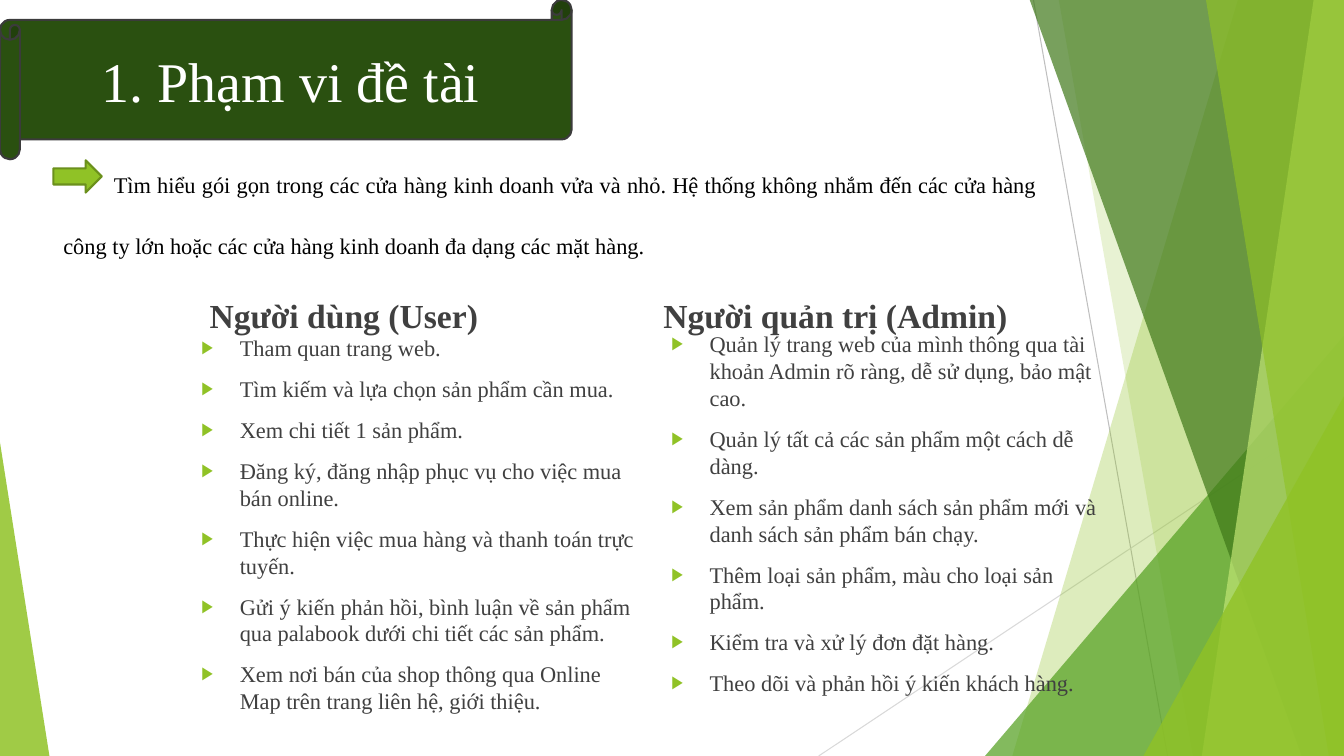
from lxml.etree import SubElement
from pptx import Presentation
from pptx.dml.color import RGBColor
from pptx.enum.shapes import MSO_CONNECTOR, MSO_SHAPE
from pptx.enum.text import MSO_ANCHOR as Anchor, PP_ALIGN as Align
from pptx.oxml.ns import qn
from pptx.util import Pt

PX = 9144
FONT = "Times New Roman"
COLORS = {
    "lime": "90C226", "lime_edge": "6B901C", "pale": "C0E474",
    "green": "54A021", "dark": "3F7819", "scroll": "2A5010",
    "scroll_edge": "3B3B3B", "gray": "BFBFBF", "light_gray": "D9D9D9",
    "body": "404040", "black": "000000", "white": "FFFFFF",
}


def paint(shape, fill, opacity=100, edge=None):
    shape.shadow.inherit = False
    shape.fill.solid()
    shape.fill.fore_color.rgb = RGBColor.from_string(COLORS[fill])
    if opacity < 100:
        color = shape.fill._xPr.find(qn("a:solidFill"))[0]
        SubElement(color, qn("a:alpha"), val=str(opacity * 1000))
    if edge:
        shape.line.color.rgb = RGBColor.from_string(COLORS[edge])
        shape.line.width = Pt(1.5)
    else:
        shape.line.fill.background()


def write(shape, texts, size=16, color="body", bold=False, align=Align.LEFT,
          anchor=Anchor.TOP, before=0, spacing=None, first_indent=0, bullet=None):
    frame = shape.text_frame
    frame.word_wrap = True
    frame.vertical_anchor = anchor
    for index, text in enumerate(texts):
        paragraph = frame.add_paragraph() if index else frame.paragraphs[0]
        paragraph.alignment = align
        paragraph.space_before = Pt(before)
        if spacing:
            paragraph.line_spacing = Pt(spacing)
        run = paragraph.add_run()
        run.text = text
        run.font.name = FONT
        run.font.size = Pt(size)
        run.font.bold = bold
        run.font.color.rgb = RGBColor.from_string(COLORS[color])
        properties = paragraph._p.get_or_add_pPr()
        properties.set("indent", str(first_indent * PX))
        if bullet:
            properties.set("marL", str(-first_indent * PX))
            bullet_color = SubElement(properties, qn("a:buClr"))
            SubElement(bullet_color, qn("a:srgbClr"), val=COLORS["lime"])
            SubElement(properties, qn("a:buSzPct"), val="80000")
            SubElement(properties, qn("a:buFont"), typeface=FONT)
            SubElement(properties, qn("a:buChar"), char=bullet)


presentation = Presentation()
presentation.slide_width = 1333 * PX
presentation.slide_height = 750 * PX
slide = presentation.slides.add_slide(presentation.slide_layouts[6])
shapes = slide.shapes

for ends, color in [((1025, 0, 1158, 750), "gray"), ((1333, 403, 812, 750), "light_gray")]:
    connector = shapes.add_connector(MSO_CONNECTOR.STRAIGHT, *[value * PX for value in ends])
    connector.line.color.rgb = RGBColor.from_string(COLORS[color])
    connector.line.width = Pt(0.75)
    SubElement(connector._element.spPr, qn("a:effectLst"))

facets = [
    ("band", (1228, 1004), "lime", 30),
    ("band", (1050, 1183), "lime", 20),
    ("triangle", (977, 333, 356, 417, 1), "green", 72),
    ("band", (1021, 1291), "dark", 70),
    ("band", (1303, 1192), "pale", 70),
    ("band", (1196, 1318), "lime", 65),
    ("triangle", (1134, 393, 199, 357, 1), "lime", 80),
    ("triangle", (0, 439, 49, 311, 0), "lime", 85),
]
for kind, geometry, color, opacity in facets:
    if kind == "band":
        top_x, bottom_x = geometry
        builder = shapes.build_freeform(top_x, -1, scale=PX)
        builder.add_line_segments([(1333, -1), (1333, 750), (bottom_x, 750)], close=True)
        facet = builder.convert_to_shape()
    else:
        *box, apex = geometry
        facet = shapes.add_shape(MSO_SHAPE.ISOSCELES_TRIANGLE, *[value * PX for value in box])
        facet.adjustments[0] = apex
    paint(facet, color, opacity)

title_scroll = shapes.add_shape(MSO_SHAPE.HORIZONTAL_SCROLL, 0, 0, 567 * PX, 158 * PX)
paint(title_scroll, "scroll", edge="scroll_edge")
write(title_scroll, ["1. Phạm vi đề tài"], size=40, color="white",
      align=Align.CENTER, anchor=Anchor.MIDDLE)

scope = shapes.add_textbox(53 * PX, 131 * PX, 985 * PX, 136 * PX)
write(scope, [
    "Tìm hiểu gói gọn trong các cửa hàng kinh doanh vửa và nhỏ. Hệ thống không nhắm đến "
    "các cửa hàng công ty lớn hoặc các cửa hàng kinh doanh đa dạng các mặt hàng.",
], color="black", align=Align.JUSTIFY, spacing=43.5, first_indent=50)

arrow = shapes.add_shape(MSO_SHAPE.RIGHT_ARROW, 53 * PX, 159 * PX, 48 * PX, 32 * PX)
paint(arrow, "lime", edge="lime_edge")

roles = [
    ("Người dùng (User)", 198, 190, 327, [
        "Tham quan trang web.",
        "Tìm kiếm và lựa chọn sản phẩm cần mua.",
        "Xem chi tiết 1 sản phẩm.",
        "Đăng ký, đăng nhập phục vụ cho việc mua bán online.",
        "Thực hiện việc mua hàng và thanh toán trực tuyến.",
        "Gửi ý kiến phản hồi, bình luận về sản phẩm qua palabook dưới chi tiết các sản phẩm.",
        "Xem nơi bán của shop thông qua Online Map trên trang liên hệ, giới thiệu.",
    ]),
    ("Người quản trị (Admin)", 648, 656, 323, [
        "Quản lý trang web của mình thông qua tài khoản Admin rõ ràng, dễ sử dụng, bảo mật cao.",
        "Quản lý tất cả các sản phẩm một cách dễ dàng.",
        "Xem sản phẩm danh sách sản phẩm mới và danh sách sản phẩm bán chạy.",
        "Thêm loại sản phẩm, màu cho loại sản phẩm.",
        "Kiểm tra và xử lý đơn đặt hàng.",
        "Theo dõi và phản hồi ý kiến khách hàng.",
    ]),
]
for heading, heading_left, list_left, list_top, tasks in roles:
    heading_box = shapes.add_textbox(heading_left * PX, 288 * PX, 458 * PX, 50 * PX)
    write(heading_box, [heading], size=24, bold=True)
    task_box = shapes.add_textbox(list_left * PX, list_top * PX, 458 * PX, 361 * PX)
    write(task_box, tasks, before=10, first_indent=-38, bullet="▶")

presentation.save("out.pptx")
